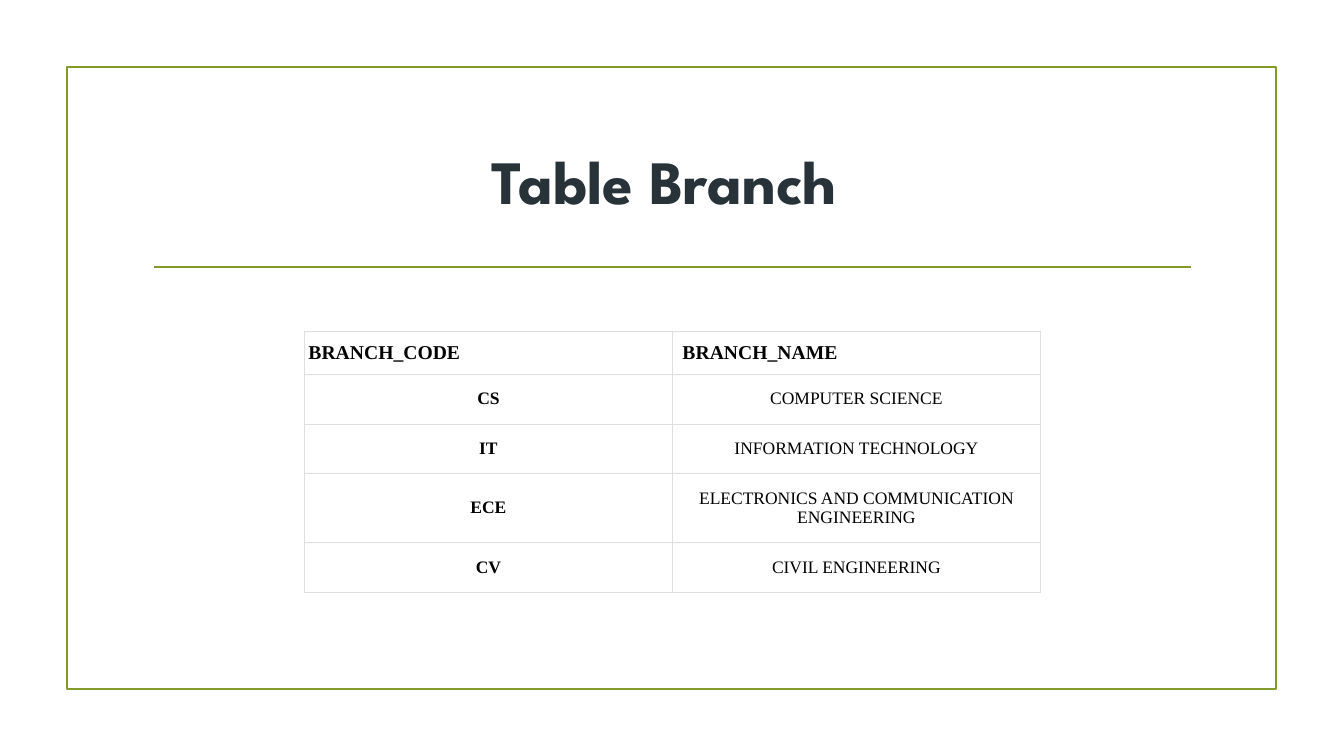
from dataclasses import dataclass

from lxml.etree import SubElement
from pptx import Presentation
from pptx.dml.color import RGBColor
from pptx.enum.shapes import MSO_CONNECTOR, MSO_SHAPE
from pptx.enum.text import MSO_ANCHOR, MSO_AUTO_SIZE, PP_ALIGN
from pptx.oxml.ns import qn
from pptx.util import Inches, Length, Pt

SLIDE_WIDTH, SLIDE_HEIGHT = Inches(13.33), Inches(7.5)
OLIVE = RGBColor(0x83, 0x99, 0x2A)
SLATE = RGBColor(0x27, 0x32, 0x39)
BLACK = RGBColor(0x00, 0x00, 0x00)
WHITE = RGBColor(0xFF, 0xFF, 0xFF)
PALE_GREY = RGBColor(0xDF, 0xDF, 0xDF)
RULE_WEIGHT = Pt(1.25)
CELL_BORDER = Pt(0.23)


@dataclass(frozen=True)
class Area:
    """A rectangle in percent of the slide's width and height."""
    left: float
    top: float
    width: float
    height: float

    def box(self) -> tuple[Length, Length, Length, Length]:
        return across(self.left), down(self.top), across(self.width), down(self.height)


@dataclass(frozen=True)
class CellStyle:
    size: float
    bold: bool
    align: PP_ALIGN
    side_inset: float
    end_inset: float


@dataclass(frozen=True)
class Branch:
    code: str
    name: str
    height: float = 6.45


FRAME = Area(4.97, 8.9, 90, 82.27)
TITLE = Area(10.65, 14.27, 78.77, 19.07)
HEADER_HEIGHT = 5.7
BRANCHES = [
    Branch("CS", "COMPUTER SCIENCE"),
    Branch("IT", "INFORMATION TECHNOLOGY"),
    Branch("ECE", "ELECTRONICS AND COMMUNICATION ENGINEERING", 9.05),
    Branch("CV", "CIVIL ENGINEERING"),
]
ROWS = [Branch("BRANCH_CODE", "BRANCH_NAME", HEADER_HEIGHT), *BRANCHES]
TABLE = Area(22.65, 43.8, 54.76, sum(row.height for row in ROWS))

HEADER_STYLES = [CellStyle(14, True, PP_ALIGN.LEFT, inset, 0.1) for inset in (0.04, 0.1)]
BODY_STYLES = [CellStyle(12.5, bold, PP_ALIGN.CENTER, 0.1, 0.15) for bold in (True, False)]


def across(percent: float) -> Length:
    return Length(round(SLIDE_WIDTH * percent / 100))


def down(percent: float) -> Length:
    return Length(round(SLIDE_HEIGHT * percent / 100))


def draw_frame(slide) -> None:
    frame = slide.shapes.add_shape(MSO_SHAPE.RECTANGLE, *FRAME.box())
    frame.shadow.inherit = False
    frame.fill.background()
    frame.line.color.rgb = OLIVE
    frame.line.width = RULE_WEIGHT


def draw_divider(slide) -> None:
    level = down(35.33)
    divider = slide.shapes.add_connector(
        MSO_CONNECTOR.STRAIGHT, across(11.48), level, across(88.6), level)
    divider.line.color.rgb = OLIVE
    divider.line.width = RULE_WEIGHT
    SubElement(divider._element.spPr, qn("a:effectLst"))


def write_title(slide, wording: str) -> None:
    title = slide.shapes.title
    title.left, title.top, title.width, title.height = TITLE.box()
    frame = title.text_frame
    frame.text = wording
    frame.auto_size = MSO_AUTO_SIZE.NONE
    frame.vertical_anchor = MSO_ANCHOR.MIDDLE
    heading = frame.paragraphs[0]
    heading.alignment = PP_ALIGN.CENTER
    heading.font.name = "League Spartan"
    heading.font.size = Pt(44)
    heading.font.bold = True
    heading.font.color.rgb = SLATE


def border_cell(cell) -> None:
    properties = cell._tc.get_or_add_tcPr()
    for side in ("lnL", "lnR", "lnT", "lnB"):
        edge = SubElement(properties, qn(f"a:{side}"), w=str(int(CELL_BORDER)))
        fill = SubElement(edge, qn("a:solidFill"))
        SubElement(fill, qn("a:srgbClr"), val=str(PALE_GREY))


def write_cell(cell, wording: str, style: CellStyle) -> None:
    border_cell(cell)
    cell.fill.solid()
    cell.fill.fore_color.rgb = WHITE
    cell.vertical_anchor = MSO_ANCHOR.MIDDLE
    cell.margin_left = cell.margin_right = Inches(style.side_inset)
    cell.margin_top = cell.margin_bottom = Inches(style.end_inset)
    cell.text = wording
    entry = cell.text_frame.paragraphs[0]
    entry.alignment = style.align
    entry.font.name = "Times New Roman"
    entry.font.size = Pt(style.size)
    entry.font.bold = style.bold
    entry.font.color.rgb = BLACK


def draw_branches(slide) -> None:
    branches = slide.shapes.add_table(len(ROWS), 2, *TABLE.box()).table
    branches.first_row = branches.horz_banding = False
    for row_index, row in enumerate(ROWS):
        branches.rows[row_index].height = down(row.height)
        styles = BODY_STYLES if row_index else HEADER_STYLES
        for column, (wording, style) in enumerate(zip((row.code, row.name), styles)):
            write_cell(branches.cell(row_index, column), wording, style)


def main() -> None:
    deck = Presentation()
    deck.slide_width, deck.slide_height = SLIDE_WIDTH, SLIDE_HEIGHT
    slide = deck.slides.add_slide(deck.slide_layouts[5])
    slide.background.fill.solid()
    slide.background.fill.fore_color.rgb = WHITE

    # Olive frame and divider
    draw_frame(slide)
    draw_divider(slide)

    # Heading, closed by a no-break space
    write_title(slide, "Table Branch ")

    # Branch codes and names
    draw_branches(slide)
    deck.save("out.pptx")


if __name__ == "__main__":
    main()
